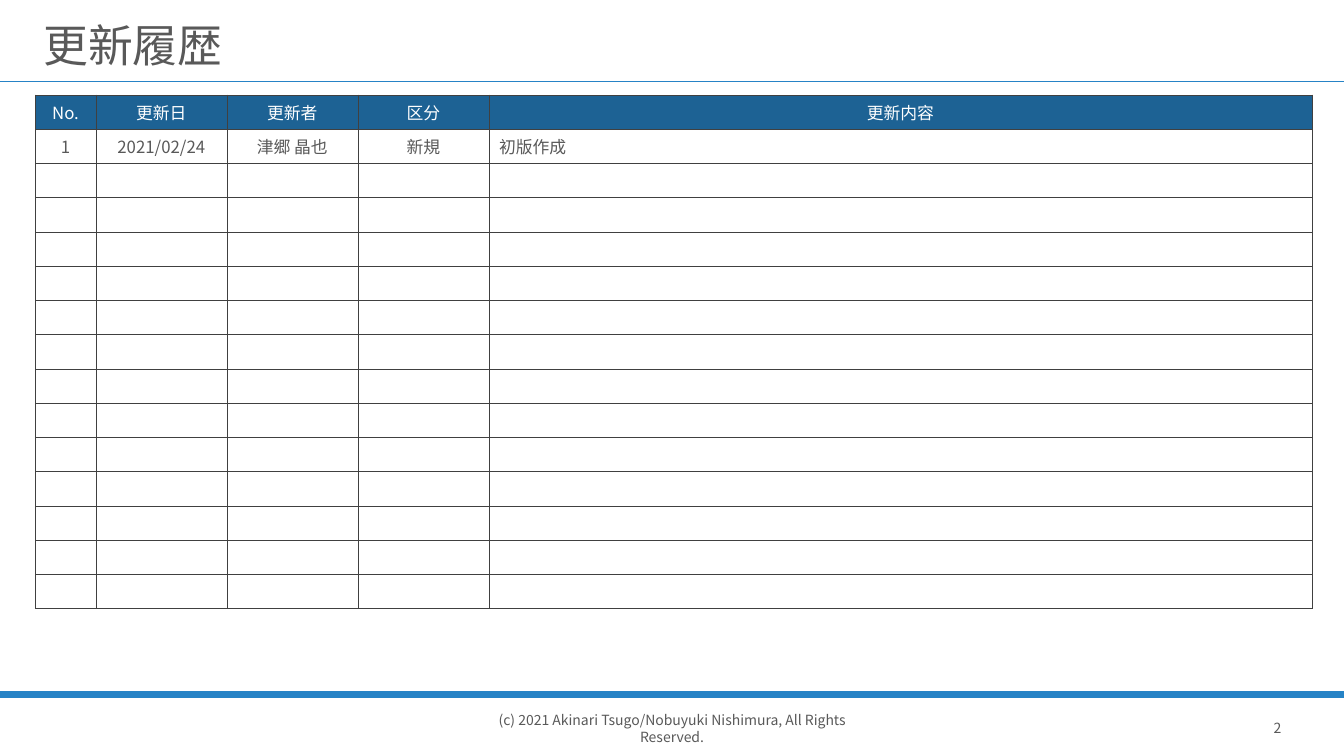
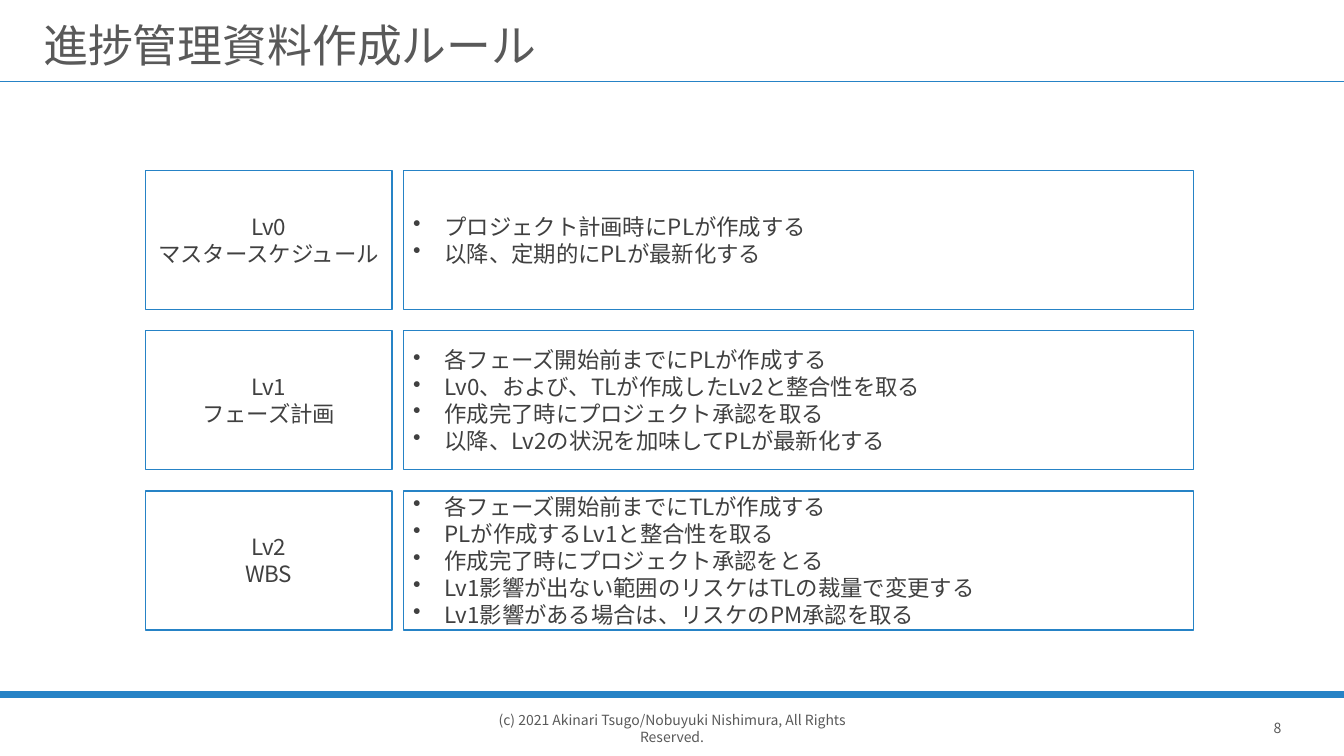
"""Build the update history and the progress document rules slides."""
from dataclasses import dataclass

from lxml.etree import SubElement
from pptx import Presentation
from pptx.dml.color import RGBColor
from pptx.enum.shapes import MSO_CONNECTOR, MSO_SHAPE
from pptx.enum.text import MSO_ANCHOR, MSO_AUTO_SIZE, PP_ALIGN
from pptx.oxml.ns import qn
from pptx.util import Inches, Pt


@dataclass(frozen=True)
class Theme:
    face: str = "Noto Sans CJK JP"
    blue: str = "2683C6"
    navy: str = "1D6294"
    gray: str = "595959"
    dark: str = "404040"
    white: str = "FFFFFF"
    title: int = 32
    body: int = 16
    cell: int = 12
    foot: int = 10


THEME = Theme()
WIDE, HIGH = 13.33, 7.5
FOOT = "(c) 2021 Akinari Tsugo/Nobuyuki Nishimura, All Rights Reserved."
RULES = [(0.81, 1), (6.89, 4.5)]

HEADS = ["No.", "更新日", "更新者", "区分", "更新内容"]
LOG = [["1", "2021/02/24", "津郷 晶也", "新規", "初版作成"]]
COLS = [0.6, 1.3, 1.3, 1.3, 8.16]
ROWS, ROW_H = 15, 0.34

LEVELS = [
    (["Lv0", "マスタースケジュール"],
     ["プロジェクト計画時にPLが作成する",
      "以降、定期的にPLが最新化する"]),
    (["Lv1", "フェーズ計画"],
     ["各フェーズ開始前までにPLが作成する",
      "Lv0、および、TLが作成したLv2と整合性を取る",
      "作成完了時にプロジェクト承認を取る",
      "以降、Lv2の状況を加味してPLが最新化する"]),
    (["Lv2", "WBS"],
     ["各フェーズ開始前までにTLが作成する",
      "PLが作成するLv1と整合性を取る",
      "作成完了時にプロジェクト承認をとる",
      "Lv1影響が出ない範囲のリスケはTLの裁量で変更する",
      "Lv1影響がある場合は、リスケのPM承認を取る"]),
]
BOX_TOP, BOX_H, STEP = 1.69, 1.38, 1.59
NAME_X, NAME_W = 1.44, 2.45
RULE_X, RULE_W = 4, 7.84
INDENT = 0.31


def color(code):
    return RGBColor.from_string(code)


def write(frame, lines, size, ink, align=PP_ALIGN.CENTER):
    frame.text = "\n".join(lines)
    frame.vertical_anchor = MSO_ANCHOR.MIDDLE
    for para in frame.paragraphs:
        para.alignment = align
        font = para.font
        font.name, font.size, font.bold = THEME.face, Pt(size), False
        font.color.rgb = color(ink)
        props = para._p.get_or_add_pPr().find(qn("a:defRPr"))
        SubElement(props, qn("a:ea"), typeface=THEME.face)


def bullet(para):
    props = para._p.get_or_add_pPr()
    props.set("marL", str(Inches(INDENT)))
    props.set("indent", str(Inches(-INDENT)))
    mark = SubElement(props, qn("a:buChar"), char="•")
    props.find(qn("a:defRPr")).addprevious(mark)


def add_rule(slide, y, width):
    rule = slide.shapes.add_connector(
        MSO_CONNECTOR.STRAIGHT, 0, Inches(y), Inches(WIDE), Inches(y))
    rule.line.color.rgb = color(THEME.blue)
    rule.line.width = Pt(width)
    SubElement(rule._element.spPr, qn("a:effectLst"))


def add_note(slide, text, x, width):
    note = slide.shapes.add_textbox(
        Inches(x), Inches(6.95), Inches(width), Inches(0.55))
    note.text_frame.word_wrap = False
    write(note.text_frame, [text], THEME.foot, THEME.gray)


def add_slide(deck, title, number):
    slide = deck.slides.add_slide(deck.slide_layouts.get_by_name("Title Only"))
    for y, width in RULES:
        add_rule(slide, y, width)
    add_note(slide, number, 12.34, 0.66)
    add_note(slide, FOOT, 4.62, 4.09)
    head = slide.shapes.title
    head.left, head.top = Inches(0.33), Inches(0.06)
    head.width, head.height = Inches(12.67), Inches(0.69)
    frame = head.text_frame
    frame.auto_size = MSO_AUTO_SIZE.NONE
    frame.margin_top = Inches(0.2)
    write(frame, [title], THEME.title, THEME.gray, PP_ALIGN.LEFT)
    frame.paragraphs[0].line_spacing = 0.9
    return slide


def add_edges(cell):
    props = cell._tc.get_or_add_tcPr()
    for side in ("lnL", "lnR", "lnT", "lnB"):
        edge = SubElement(props, qn(f"a:{side}"), w=str(Pt(0.25)))
        fill = SubElement(edge, qn("a:solidFill"))
        SubElement(fill, qn("a:srgbClr"), val=THEME.dark)


def add_log(slide):
    table = slide.shapes.add_table(
        ROWS, len(COLS), Inches(0.35), Inches(0.94),
        Inches(sum(COLS)), Inches(ROWS * ROW_H)).table
    table.horz_banding = False
    for col, width in zip(table.columns, COLS):
        col.width = Inches(width)
    blank = [[""] * len(COLS)] * (ROWS - 1 - len(LOG))
    for r, texts in enumerate([HEADS] + LOG + blank):
        for c, text in enumerate(texts):
            cell = table.cell(r, c)
            add_edges(cell)
            if r == 0:
                cell.fill.solid()
                cell.fill.fore_color.rgb = color(THEME.navy)
            else:
                cell.fill.background()
            left = r > 0 and c == len(COLS) - 1
            write(cell.text_frame, [text], THEME.cell,
                  THEME.gray if r else THEME.white,
                  PP_ALIGN.LEFT if left else PP_ALIGN.CENTER)
            cell.vertical_anchor = MSO_ANCHOR.MIDDLE


def add_box(slide, lines, x, y, width, align):
    box = slide.shapes.add_shape(
        MSO_SHAPE.RECTANGLE, Inches(x), Inches(y), Inches(width), Inches(BOX_H))
    box.shadow.inherit = False
    box.fill.solid()
    box.fill.fore_color.rgb = color(THEME.white)
    box.line.color.rgb = color(THEME.blue)
    box.line.width = Pt(1)
    write(box.text_frame, lines, THEME.body, THEME.dark, align)
    return box


def add_levels(slide):
    for i, (name, rules) in enumerate(LEVELS):
        y = BOX_TOP + i * STEP
        add_box(slide, name, NAME_X, y, NAME_W, PP_ALIGN.CENTER)
        box = add_box(slide, rules, RULE_X, y, RULE_W, PP_ALIGN.LEFT)
        for para in box.text_frame.paragraphs:
            bullet(para)


def main():
    deck = Presentation()
    deck.slide_width, deck.slide_height = Inches(WIDE), Inches(HIGH)
    add_log(add_slide(deck, "更新履歴", "2"))
    add_levels(add_slide(deck, "進捗管理資料作成ルール", "8"))
    deck.save("out.pptx")


if __name__ == "__main__":
    main()
